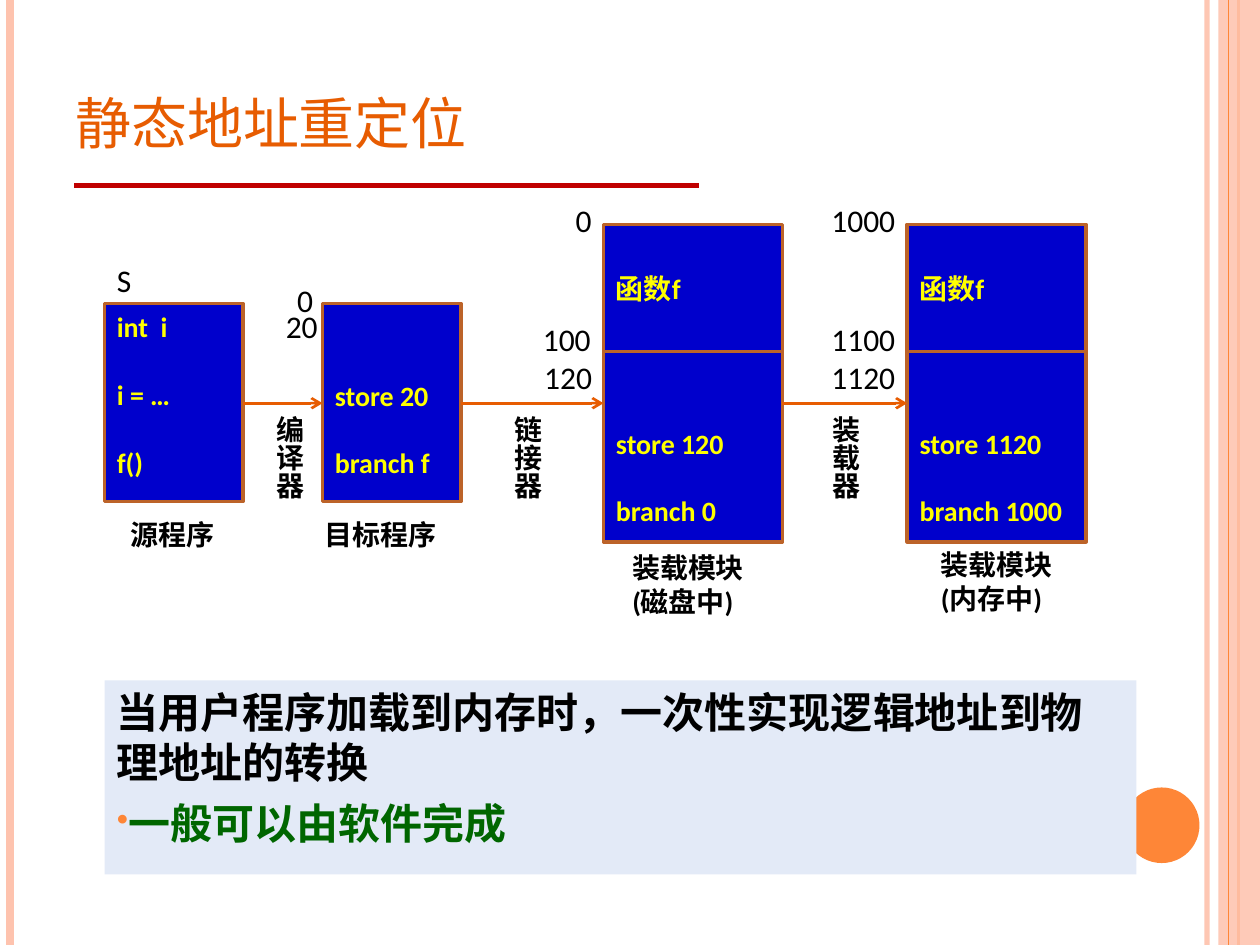
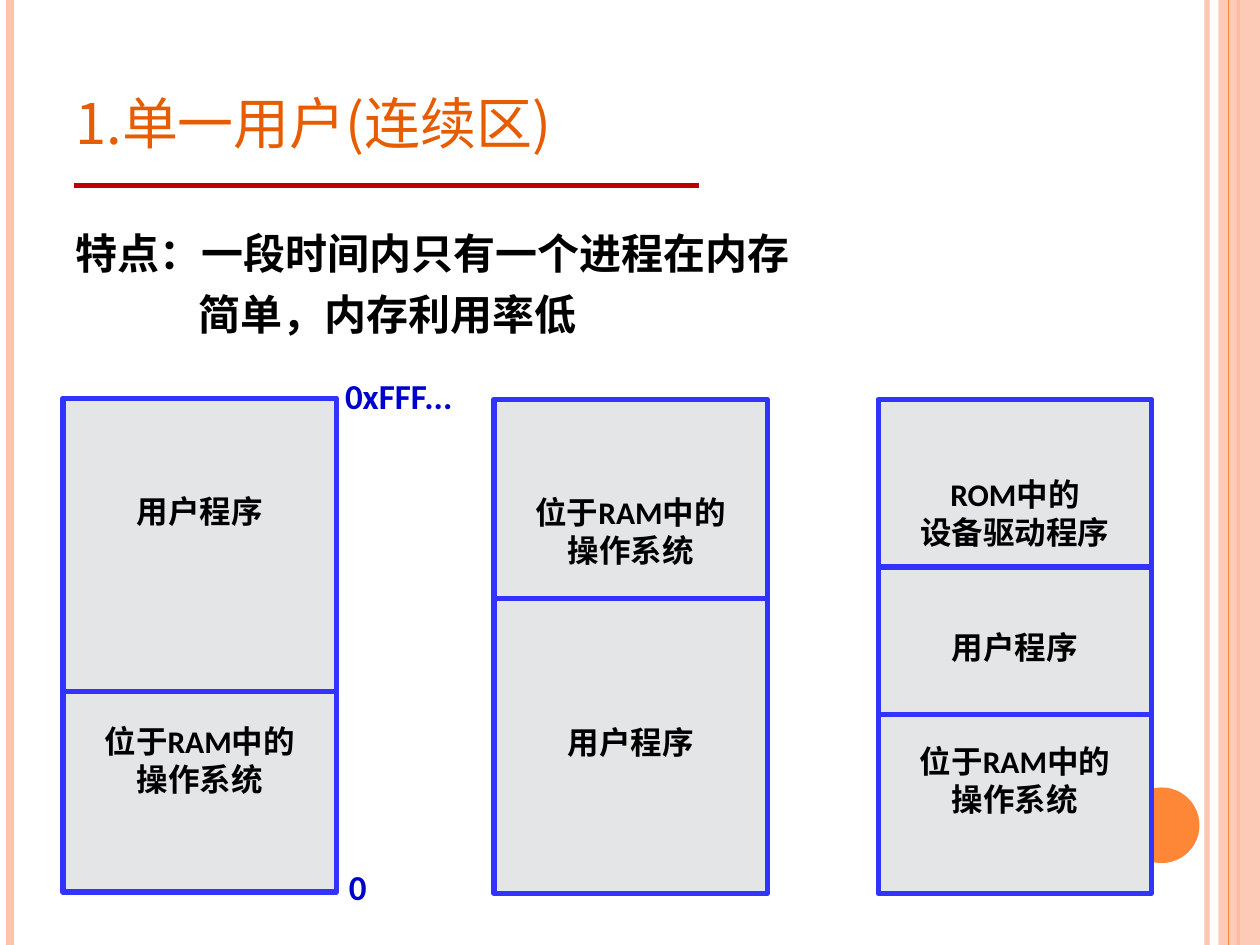
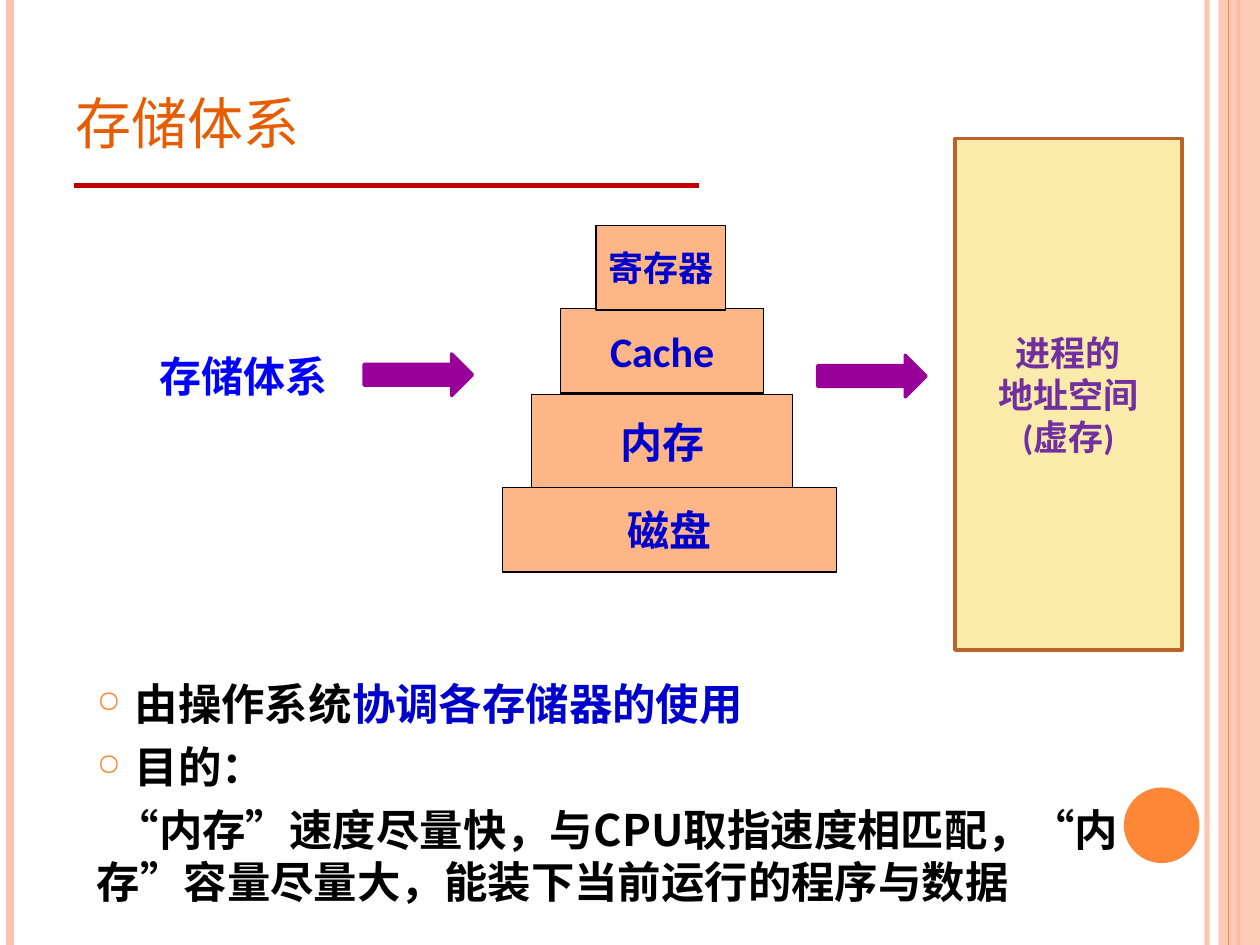
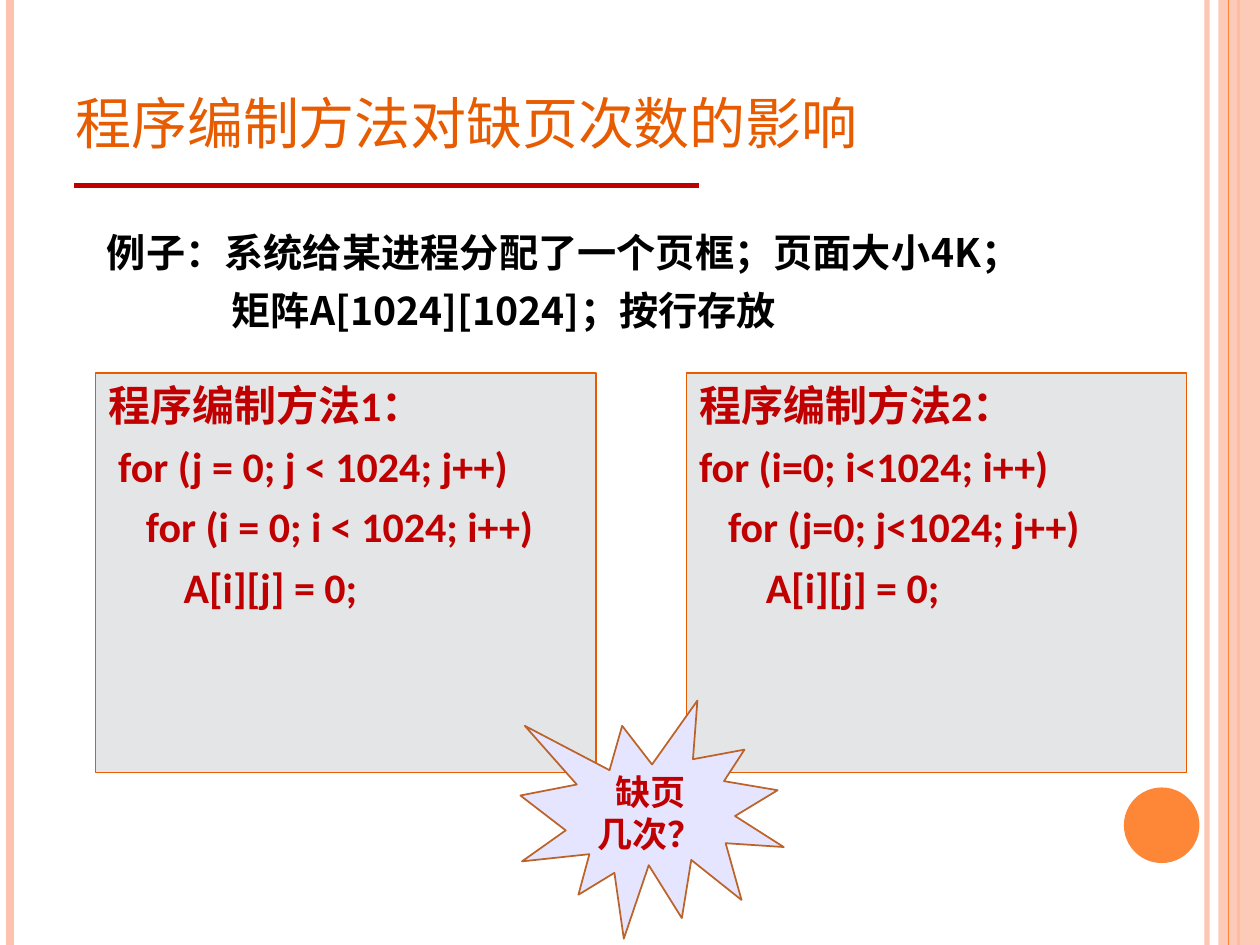
from lxml import etree
from pptx import Presentation, util as u
from pptx.dml.color import RGBColor
from pptx.enum import shapes as sh, text as tx
from pptx.oxml.ns import qn

I, P = u.Inches, u.Pt
KIND, ANC, AL = sh.MSO_SHAPE, tx.MSO_ANCHOR, tx.PP_ALIGN
LATIN, HAN = "Calibri", "Noto Sans CJK SC"
HEX = dict(
    black="000000", orange="E75C01", disc="FE8637", pink="FEC3AE", red="C00000",
    brown="BC6329", navy="0000CC", yellow="FFFF00", green="006600", pale="E3EAF7",
    gray="E4E5E6", blue="3333FF", peach="FEB687", plum="990099", cream="FBEBAB",
    violet="7030A0", vivid="0000FF", lilac="E5E5FF")

# ---- Content ----
# Paragraph: text, or dict(t, gap, left, first, bu, color); t may hold (text, colour) pairs
LINE = 19.5     # height of one 16 pt line
ROW = 22        # height of one 18 pt line
TITLES = ["静态地址重定位", "1.单一用户(连续区)", "存储体系", "程序编制方法对缺页次数的影响"]

# left, top, width, height, lines, blank lines on top
CODE = [
    (0.83, 2.41, 1.1, 1.57, ["int  i", "i = …", "f()"], 0),
    (2.56, 2.41, 1.1, 1.57, ["store 20", "branch f"], 2),
    (4.79, 2.79, 1.42, 1.51, ["store 120", "branch 0"], 2),
    (7.2, 2.79, 1.42, 1.51, ["store 1120", "branch 1000"], 2),
]
MARKS = [
    ("S", 0.83, 2.02, 0.32), ("0", 2.26, 2.18, 0.33), ("20", 2.17, 2.39, 0.46),
    ("0", 4.47, 1.55, 0.33), ("100", 4.21, 2.49, 0.59), ("120", 4.22, 2.79, 0.59),
    ("1000", 6.5, 1.55, 0.71), ("1100", 6.5, 2.49, 0.71), ("1120", 6.5, 2.79, 0.71),
]
STEPS = [("编译器", 2.01), ("链接器", 3.9), ("装载器", 6.42)]
NAMES = [
    (["源程序"], 0.94, 4.06, 0.88), (["目标程序"], 2.48, 4.06, 1.1),
    (["装载模块", "(磁盘中)"], 4.92, 4.32, 1.1), (["装载模块", "(内存中)"], 7.37, 4.3, 1.1),
]
LOAD = ["当用户程序加载到内存时，一次性实现逻辑地址到物理地址的转换",
        dict(t="一般可以由软件完成", gap=6, bu=("•", 80), color="green")]

TRAIT = ["特点：一段时间内只有一个进程在内存", dict(t="简单，内存利用率低", gap=6, left=0.98)]
SYS = ["位于RAM中的", "操作系统"]
# left, top, (blank lines before, lines) groups, blank lines below, dividers
MAPS = [
    (0.5, 3.16, [(0, ["用户程序"]), (5, SYS)], 0, [5.49]),
    (3.92, 3.17, [(0, SYS), (4, ["用户程序"])], 1, [4.75]),
    (6.97, 3.17, [(0, ["ROM中的", "设备驱动程序"]), (2, ["用户程序"]), (2, SYS)], 0, [4.5, 5.67]),
]
ENDS = [("0xFFF...", 2.64, 2.92, 1.06), ("0", 2.67, 6.82, 0.34)]

TIERS = [
    ("Cache", 4.45, 2.45, 1.61, 0.67, 24), ("内存", 4.22, 3.13, 2.07, 0.75, 24),
    ("磁盘", 3.99, 3.87, 2.65, 0.67, 24), ("寄存器", 4.73, 1.79, 1.03, 0.67, 20),
]
RING = dict(left=0.3, first=-0.3, bu=("○", 70))
GOALS = [
    dict(RING, t=[("由操作系统", "black"), ("协调各存储器的使用", "navy")]),
    dict(RING, t="目的：", gap=6),
    dict(t="“内存”速度尽量快，与CPU取指速度相匹配，“内存”容量尽量大，能装下当前运行的程序与数据",
         gap=6, first=0.15),
]

CASE = ["例子：系统给某进程分配了一个页框；页面大小4K；",
        dict(t="矩阵A[1024][1024]；按行存放", gap=6, left=0.99)]
# left, (indent, line) pairs
LOOPS = [
    (5.45, [(0, "程序编制方法2："), (0, "for (i=0; i<1024; i++)"),
            (0.23, "for (j=0; j<1024; j++)"), (0.53, "A[i][j] = 0;")]),
    (0.76, [(0, "程序编制方法1："), (0.08, "for (j = 0; j < 1024; j++)"),
            (0.3, "for (i = 0; i < 1024; i++)"), (0.6, "A[i][j] = 0;")]),
]


# ---- Helpers ----
def rgb(name):
    return RGBColor.from_string(HEX[name])


def sub(node, tag, **atts):
    return etree.SubElement(node, qn(tag), atts)


def fade(node, pct):
    """Make the first solid colour below node partly transparent."""
    sub(next(node.iter(qn("a:srgbClr"))), "a:alpha", val=str(pct * 1000))


def style(run, size, color, font, bold):
    for key, val in dict(size=P(size), bold=bold, name=font).items():
        setattr(run.font, key, val)
    run.font.color.rgb = rgb(color)
    sub(run._r.get_or_add_rPr(), "a:ea", typeface=font)


def write(shape, paras, size, color="black", font=LATIN, bold=True, align=AL.LEFT,
          anchor=ANC.TOP, wrap=True, fit=tx.MSO_AUTO_SIZE.NONE, pitch=None, **pads):
    frame = shape.text_frame
    sets = dict(word_wrap=wrap, auto_size=fit, vertical_anchor=anchor)
    sets.update({"margin_" + side: I(val) for side, val in pads.items()})
    for key, val in sets.items():
        setattr(frame, key, val)
    for n, item in enumerate(paras):
        item = item if isinstance(item, dict) else dict(t=item)
        para = frame.paragraphs[0] if n == 0 else frame.add_paragraph()
        para.alignment = align
        para.space_before = P(item.get("gap", 0))
        if pitch:
            para.line_spacing = P(pitch)
        prop = para._p.get_or_add_pPr()
        prop.set("marL", str(I(item.get("left", 0))))
        prop.set("indent", str(I(item.get("first", 0))))
        if "bu" in item:
            sign, pct = item["bu"]
            sub(sub(prop, "a:buClr"), "a:srgbClr", val=HEX["disc"])
            sub(prop, "a:buSzPct", val=str(pct * 1000))
            sub(prop, "a:buChar", char=sign)
        bits = item["t"]
        if isinstance(bits, str):
            bits = [(bits, item.get("color", color))]
        for words, tint in bits:
            run = para.add_run()
            run.text = words
            style(run, size, tint, font, bold)
    return shape


def block(slide, box, fill, line=None, width=2, kind=KIND.RECTANGLE):
    shape = slide.shapes.add_shape(kind, *map(I, box))
    shape.shadow.inherit = False
    shape.fill.solid()
    shape.fill.fore_color.rgb = rgb(fill)
    if line:
        shape.line.color.rgb = rgb(line)
        shape.line.width = P(width)
    else:
        shape.line.fill.background()
    return shape


def rule(slide, x1, y1, x2, y2, color, width, arrow=False):
    line = slide.shapes.add_connector(sh.MSO_CONNECTOR.STRAIGHT, *map(I, (x1, y1, x2, y2)))
    line.line.color.rgb = rgb(color)
    line.line.width = P(width)
    if arrow:
        sub(line.line._get_or_add_ln(), "a:tailEnd", type="arrow")
    sub(line._element.spPr, "a:effectLst")
    return line


def note(slide, box, paras, size, **opts):
    return write(slide.shapes.add_textbox(*map(I, box)), paras, size, **opts)


def tag(slide, box, paras, size, **opts):
    """Short label that does not wrap."""
    opts = dict(dict(wrap=False, fit=tx.MSO_AUTO_SIZE.SHAPE_TO_FIT_TEXT), **opts)
    return note(slide, box, paras, size, **opts)


# ---- Shared frame ----
def trim(slide, layout):
    """Draw the bands, disc and title rule, then hand them to the layout."""
    edge = rule(slide, 9.58, 0, 9.58, 7.5, "pink", 3)
    fade(edge._element, 93)
    left = rule(slide, 0.08, 0, 0.08, 7.5, "pink", 4.5)
    outer = rule(slide, 9.83, 0, 9.83, 7.5, "disc", 1.5)
    band = block(slide, (9.67, 0, 0.33, 7.5), "pink")
    fade(band._element, 87)
    inner = rule(slide, 9.75, 0, 9.75, 7.5, "disc", 0.75)
    disc = block(slide, (8.92, 6.25, 0.6, 0.6), "disc", kind=KIND.OVAL)
    under = rule(slide, 0.59, 1.47, 5.55, 1.47, "red", 3)
    for part in (edge, left, outer, band, inner, disc, under):
        layout.shapes.element.append(part._element)


def head(slide, words):
    title = slide.shapes.title
    for key, val in dict(left=0.5, top=0.3, width=8.17, height=1.01).items():
        setattr(title, key, I(val))
    write(title, [words], 40, "orange", HAN, False, anchor=ANC.BOTTOM)
    title.text_frame.paragraphs[0].runs[0].font._element.set("cap", "small")


# ---- Slides ----
def relocate(slide):
    write(block(slide, (0.83, 5.4, 8.19, 1.54), "pale"), LOAD, 24)
    for x, y, w, h, lines, skip in CODE:
        paras = [dict(t=t, gap=LINE if n else 0) for n, t in enumerate(lines)]
        write(block(slide, (x, y, w, h), "navy", "brown"), paras, 16, "yellow",
              top=0.05 + skip * LINE / 72)
    for x, y, w, *_ in CODE[2:]:
        write(block(slide, (x, 1.78, w, y - 1.78), "navy", "brown"), ["函数f"], 16,
              "yellow", anchor=ANC.MIDDLE)
    for a, b in zip(CODE, CODE[1:]):
        rule(slide, a[0] + a[2], 3.2, b[0], 3.2, "orange", 1.5, arrow=True)
    for words, x, y, w in MARKS:
        tag(slide, (x, y, w, 0.4), [words], 18, bold=False)
    for words, x in STEPS:
        step = tag(slide, (x, 3.2, 0.47, 0.96), [words], 16)
        step.text_frame._txBody.bodyPr.set("vert", "eaVert")
    for lines, x, y, w in NAMES:
        tag(slide, (x, y, w, 0.1 + 0.27 * len(lines)), lines, 16, wrap=len(lines) > 1)


def single(slide):
    note(slide, (0.5, 1.75, 8.17, 1.1), TRAIT, 24, font=HAN, pitch=29)
    for words, x, y, w in ENDS:
        tag(slide, (x, y, w, 0.44), [words], 20, color="navy")
    for x, y, groups, below, cuts in MAPS:
        paras = [dict(t=t, gap=0 if n else skip * ROW)
                 for skip, lines in groups for n, t in enumerate(lines)]
        write(block(slide, (x, y, 2.17, 3.92), "gray", "blue", 3), paras, 18, wrap=False,
              align=AL.CENTER, anchor=ANC.MIDDLE, bottom=0.05 + below * ROW / 72)
        for cut in cuts:
            rule(slide, x, cut, x + 2.17, cut, "blue", 3)


def memory(slide):
    mid = dict(align=AL.CENTER, anchor=ANC.MIDDLE)
    note(slide, (0.67, 5.32, 8.31, 1.97), GOALS, 24.8, font=HAN, pitch=30)
    for words, x, y, w, h, size in TIERS:
        write(block(slide, (x, y, w, h), "peach", "black", 0.75), [words], size, "navy",
              wrap=False, **mid)
    for x, y in [(2.89, 2.81), (6.49, 2.82)]:
        block(slide, (x, y, 0.86, 0.33), "plum", "plum", kind=KIND.RIGHT_ARROW)
    write(block(slide, (7.58, 1.1, 1.8, 4.06), "cream", "brown"),
          ["进程的", "地址空间", "(虚存)"], 20, "violet", **mid)
    tag(slide, (1.17, 2.73, 1.55, 0.5), ["存储体系"], 24, color="vivid", font=HAN, pitch=29)


def faults(slide):
    note(slide, (0.75, 1.76, 7.92, 0.97), CASE, 22.4, font=HAN, pitch=27)
    for x, lines in LOOPS:
        paras = [dict(t=t, left=dent, gap=6) for dent, t in lines]
        write(block(slide, (x, 2.96, 3.97, 3.17), "gray", "orange", 0.75), paras, 24, "red")
    burst = block(slide, (4.13, 5.56, 2.09, 1.89), "lilac", "brown", 1, KIND.EXPLOSION1)
    write(burst, ["缺页", "几次？"], 20, "red", align=AL.CENTER, anchor=ANC.MIDDLE)


def main():
    deck = Presentation()
    deck.slide_width, deck.slide_height = I(10), I(7.5)
    layout = deck.slide_layouts[5]
    for n, (words, draw) in enumerate(zip(TITLES, (relocate, single, memory, faults))):
        slide = deck.slides.add_slide(layout)
        if n == 0:
            trim(slide, layout)
        head(slide, words)
        draw(slide)
    deck.save("out.pptx")


if __name__ == "__main__":
    main()
